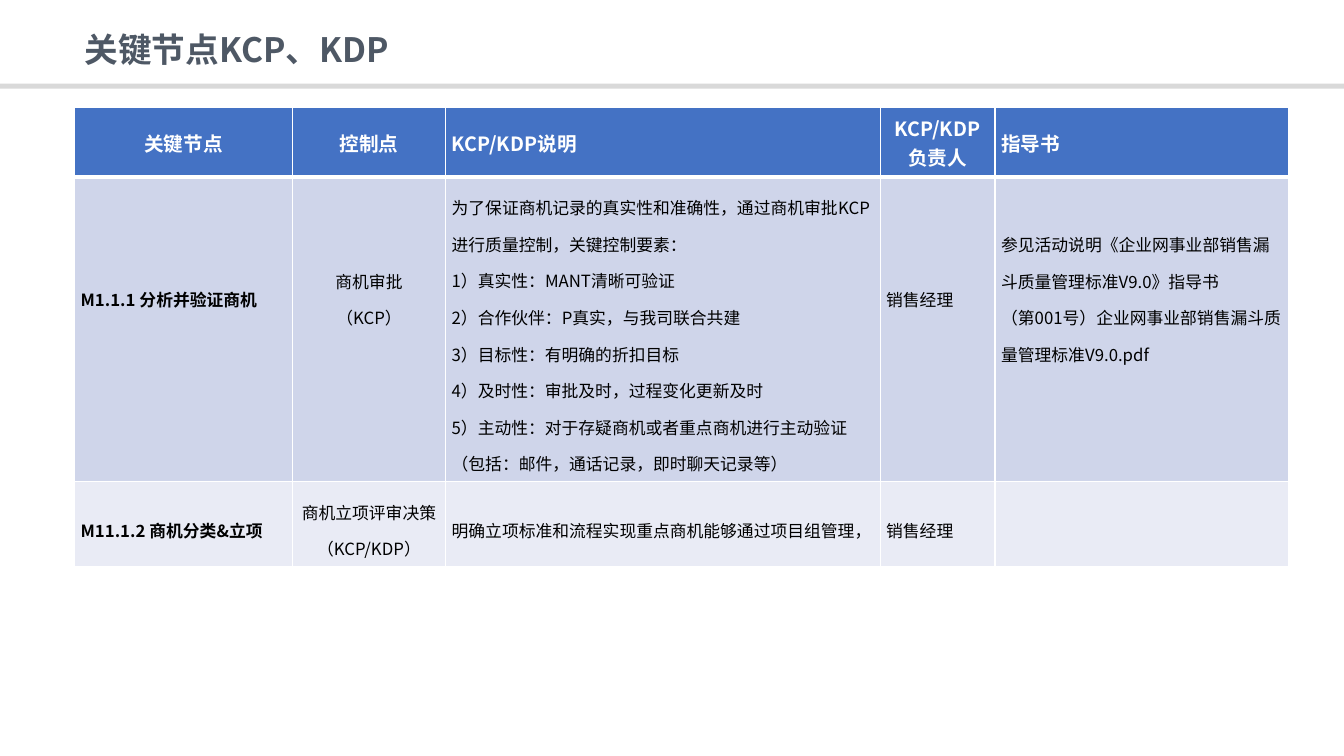
"""Builds the slide that lists the KCP and KDP key nodes in a table."""
from lxml import etree
from pptx import Presentation, util as u
from pptx.dml.color import RGBColor
from pptx.enum import shapes, text
from pptx.oxml.ns import qn

FONT = "Noto Sans CJK SC"
WHITE = RGBColor(0xFF, 0xFF, 0xFF)
BLACK = RGBColor(0, 0, 0)
SLATE = RGBColor(0x4E, 0x58, 0x65)
RULE_GREY = RGBColor(0xD9, 0xD9, 0xD9)
ROW_FILLS = [RGBColor(0x44, 0x72, 0xC4), RGBColor(0xCF, 0xD5, 0xEA), RGBColor(0xE9, 0xEB, 0xF5)]

TITLE = "关键节点KCP、KDP"
ROWS = [
    [["关键节点"], ["控制点"], ["KCP/KDP说明"], ["KCP/KDP负责人"], ["指导书"]],
    [
        ["M1.1.1 分析并验证商机"],
        ["商机审批", "（KCP）"],
        [
            "为了保证商机记录的真实性和准确性，通过商机审批KCP进行质量控制，关键控制要素：",
            "1）真实性：MANT清晰可验证",
            "2）合作伙伴：P真实，与我司联合共建",
            "3）目标性：有明确的折扣目标",
            "4）及时性：审批及时，过程变化更新及时",
            "5）主动性：对于存疑商机或者重点商机进行主动验证（包括：邮件，通话记录，即时聊天记录等）",
        ],
        ["销售经理"],
        [
            "参见活动说明《企业网事业部销售漏斗质量管理标准V9.0》指导书",
            "（第001号）企业网事业部销售漏斗质量管理标准V9.0.pdf",
        ],
    ],
    [
        ["M11.1.2 商机分类&立项"],
        ["商机立项评审决策", "（KCP/KDP）"],
        ["明确立项标准和流程实现重点商机能够通过项目组管理，"],
        ["销售经理"],
        [""],
    ],
]
COLUMN_WIDTHS = [2.16, 1.52, 4.31, 1.14, 2.91]
ROW_HEIGHTS = [0.56, 2.94, 0.79]
LEFT, TABLE_TOP = 0.74, 1.07
INSET, RAISED_INSET = 0.06, 0.78
DESCRIPTION = 2
CENTRED = {(0, 0), (0, 1), (0, 3), (1, 1), (2, 1)}


def style_paragraph(paragraph, size, color, bold):
    font = paragraph.font
    font.size, font.bold, font.name = u.Pt(size), bold, FONT
    font.color.rgb = color
    latin = paragraph._p.pPr.find(qn("a:defRPr")).find(qn("a:latin"))
    east_asian = etree.Element(qn("a:ea"), typeface=FONT)
    latin.addnext(east_asian)


def add_borders(cell, bottom_width):
    properties = cell._tc.get_or_add_tcPr()
    for index, side in enumerate(("lnL", "lnR", "lnT", "lnB")):
        width = bottom_width if side == "lnB" else 1
        line = etree.Element(qn(f"a:{side}"), w=str(u.Pt(width)))
        fill = etree.SubElement(line, qn("a:solidFill"))
        etree.SubElement(fill, qn("a:srgbClr"), val=str(WHITE))
        properties.insert(index, line)


def fill_cell(cell, lines, row, column):
    header = row == 0
    cell.fill.solid()
    cell.fill.fore_color.rgb = ROW_FILLS[row]
    add_borders(cell, 3 if header else 1)
    cell.vertical_anchor = text.MSO_ANCHOR.MIDDLE
    cell.margin_left = cell.margin_right = cell.margin_top = u.Inches(INSET)
    raised = row == 1 and column != DESCRIPTION
    cell.margin_bottom = u.Inches(RAISED_INSET if raised else INSET)
    cell.text_frame.text = "\n".join(lines)
    for paragraph in cell.text_frame.paragraphs:
        paragraph.alignment = text.PP_ALIGN.CENTER if (row, column) in CENTRED else text.PP_ALIGN.LEFT
        if not header:
            paragraph.line_spacing = 1.5
        style_paragraph(paragraph, 14 if header else 12, WHITE if header else BLACK, header or column == 0)


def add_title(slide):
    title = slide.shapes.title
    title.left, title.top, title.width, title.height = map(u.Inches, (LEFT, 0.3, 4.94, 0.33))
    frame = title.text_frame
    frame.text = TITLE
    frame.auto_size = text.MSO_AUTO_SIZE.NONE
    frame.vertical_anchor = text.MSO_ANCHOR.MIDDLE
    frame.margin_top, frame.margin_bottom = u.Inches(0.1), 0
    paragraph = frame.paragraphs[0]
    paragraph.alignment = text.PP_ALIGN.LEFT
    paragraph.line_spacing = 0.9
    paragraph.space_before = u.Pt(0)
    style_paragraph(paragraph, 24, SLATE, True)


def add_rule(slide, width):
    rule = slide.shapes.add_shape(shapes.MSO_SHAPE.RECTANGLE, 0, u.Inches(0.83), width, u.Inches(0.05))
    rule.shadow.inherit = False
    rule.fill.solid()
    rule.fill.fore_color.rgb = RULE_GREY
    rule.line.fill.background()


def add_node_table(slide):
    table = slide.shapes.add_table(
        len(ROWS), len(COLUMN_WIDTHS), u.Inches(LEFT), u.Inches(TABLE_TOP),
        u.Inches(sum(COLUMN_WIDTHS)), u.Inches(sum(ROW_HEIGHTS))).table
    for column, width in zip(table.columns, COLUMN_WIDTHS):
        column.width = u.Inches(width)
    for row, height in zip(table.rows, ROW_HEIGHTS):
        row.height = u.Inches(height)
    for row, cells in enumerate(ROWS):
        for column, lines in enumerate(cells):
            fill_cell(table.cell(row, column), lines, row, column)


def main():
    presentation = Presentation()
    presentation.slide_width, presentation.slide_height = u.Inches(13.33), u.Inches(7.5)
    slide = presentation.slides.add_slide(presentation.slide_layouts[5])
    add_rule(slide, presentation.slide_width)
    add_title(slide)
    add_node_table(slide)
    presentation.save("out.pptx")


if __name__ == "__main__":
    main()
